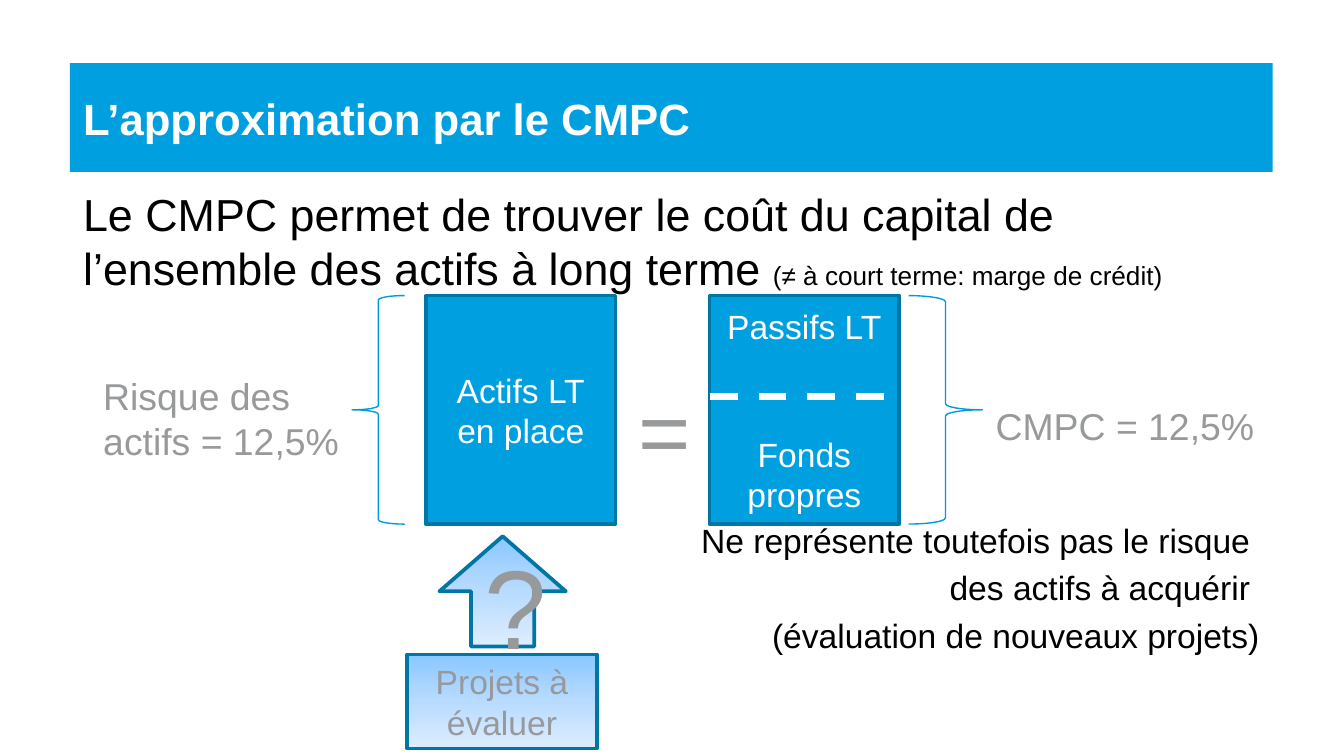
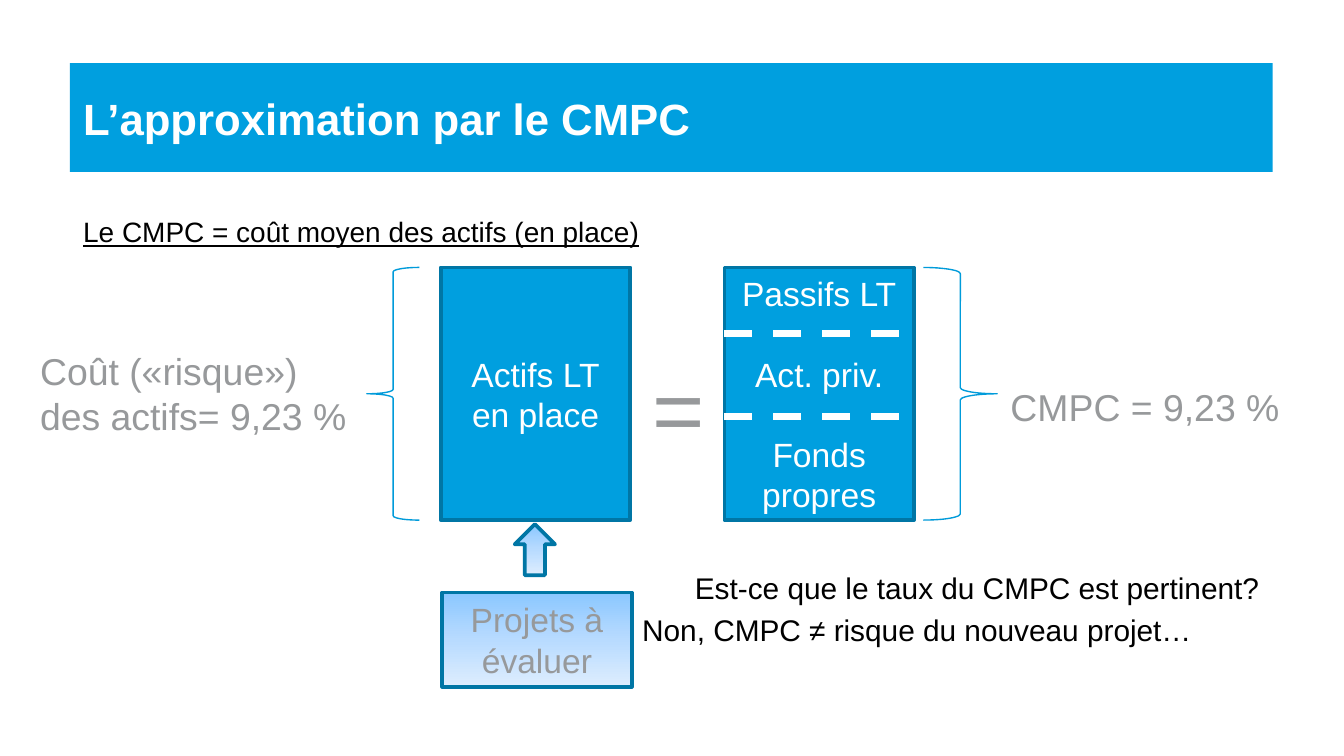
from copy import deepcopy
from dataclasses import dataclass, field

from lxml.etree import SubElement
from pptx import Presentation
from pptx.dml.color import RGBColor
from pptx.enum.dml import MSO_LINE
from pptx.enum.shapes import MSO_CONNECTOR, MSO_SHAPE
from pptx.enum.text import MSO_ANCHOR, PP_ALIGN
from pptx.oxml.ns import qn
from pptx.shapes.autoshape import Shape
from pptx.slide import Slide
from pptx.util import Inches, Pt

BLUE = RGBColor(0x00, 0x9F, 0xDF)
EDGE = RGBColor(0x00, 0x76, 0xA5)
BRACE = RGBColor(0x00, 0x9B, 0xDA)
GREY = RGBColor(0x97, 0x99, 0x9B)
WHITE = RGBColor(0xFF, 0xFF, 0xFF)
BLACK = RGBColor(0x00, 0x00, 0x00)
SHADES = [
    (0, RGBColor(0x8B, 0xC7, 0xFF)),
    (0.5, RGBColor(0xB8, 0xDB, 0xFF)),
    (1, RGBColor(0xDD, 0xED, 0xFE)),
]
FONT = "Arial"
TITLE = "L’approximation par le CMPC"
LEFT, WIDE = 0.52, 8.95
BOX = 1.41


@dataclass
class Run:
    text: str
    size: float
    color: RGBColor = BLACK
    bold: bool = False
    under: bool = False


@dataclass
class Para:
    runs: list[Run]
    align: PP_ALIGN = PP_ALIGN.LEFT
    before: float = 0


@dataclass
class Place:
    left: float
    top: float
    width: float
    height: float


@dataclass
class Label:
    place: Place
    paras: list[Para]
    wrap: bool = True


@dataclass
class Page:
    left: float
    top: float
    height: float
    funds: list[str]
    gap: float
    cuts: list[float]
    equal: float
    project: Place
    arrow: Place
    mark: list[Para] = field(default_factory=list)
    labels: list[Label] = field(default_factory=list)


def plain(text: str, size: float, color: RGBColor = BLACK,
          align: PP_ALIGN = PP_ALIGN.LEFT, before: float = 0) -> Para:
    return Para([Run(text, size, color)], align, before)


def center(text: str, size: float, color: RGBColor, before: float = 0) -> Para:
    return plain(text, size, color, PP_ALIGN.CENTER, before)


def frame(place: Place) -> list[Inches]:
    return [Inches(n) for n in (place.left, place.top, place.width, place.height)]


def write(shape: Shape, paras: list[Para], anchor: MSO_ANCHOR = MSO_ANCHOR.MIDDLE,
          wrap: bool = True) -> None:
    body = shape.text_frame
    body.word_wrap = wrap
    body.vertical_anchor = anchor
    for i, para in enumerate(paras):
        line = body.paragraphs[0] if i == 0 else body.add_paragraph()
        line.alignment = para.align
        if para.before:
            line.space_before = Pt(para.before)
        for part in para.runs:
            run = line.add_run()
            run.text = part.text
            font = run.font
            font.name, font.size = FONT, Pt(part.size)
            font.bold, font.underline = part.bold, part.under
            font.color.rgb = part.color


def draw(slide: Slide, kind: MSO_SHAPE, place: Place,
         edge: RGBColor | None = EDGE, width: float = 2) -> Shape:
    shape = slide.shapes.add_shape(kind, *frame(place))
    shape.shadow.inherit = False
    if edge is None:
        shape.line.fill.background()
    else:
        shape.line.color.rgb = edge
        shape.line.width = Pt(width)
    return shape


def block(slide: Slide, place: Place, paras: list[Para],
          edge: RGBColor | None = EDGE) -> None:
    shape = draw(slide, MSO_SHAPE.RECTANGLE, place, edge)
    shape.fill.solid()
    shape.fill.fore_color.rgb = BLUE
    write(shape, paras)


def fade(slide: Slide, kind: MSO_SHAPE, place: Place, paras: list[Para]) -> None:
    shape = draw(slide, kind, place)
    fill = shape.fill
    fill.gradient()
    fill.gradient_angle = 270
    stops = next(shape.element.iter(qn("a:gsLst")))
    stops.insert(1, deepcopy(stops[0]))
    for stop, (spot, color) in zip(fill.gradient_stops, SHADES):
        stop.position = spot
        stop.color.rgb = color
    write(shape, paras)


def brace(slide: Slide, kind: MSO_SHAPE, place: Place) -> None:
    draw(slide, kind, place, BRACE, 0.75).fill.background()


def dash(slide: Slide, left: float, top: float) -> None:
    line = slide.shapes.add_connector(
        MSO_CONNECTOR.STRAIGHT, Inches(left), Inches(top), Inches(left + BOX), Inches(top))
    line.line.color.rgb = WHITE
    line.line.width = Pt(3.75)
    line.line.dash_style = MSO_LINE.DASH
    SubElement(line.element.spPr, qn("a:effectLst"))


def label(slide: Slide, item: Label) -> None:
    box = slide.shapes.add_textbox(*frame(item.place))
    write(box, item.paras, MSO_ANCHOR.TOP, item.wrap)


def build(slide: Slide, page: Page) -> None:
    x, y, tall = page.left, page.top, page.height
    right = x + 2.11
    block(slide, Place(LEFT, 0.47, WIDE, 0.81),
          [Para([Run(TITLE, 23.4, WHITE, bold=True)])], None)
    funds = [center(text, 18, WHITE, page.gap if i else 0)
             for i, text in enumerate(page.funds)]
    block(slide, Place(right, y, BOX, tall), funds)
    for cut in page.cuts:
        dash(slide, right, cut)
    brace(slide, MSO_SHAPE.RIGHT_BRACE, Place(x + 3.59, y, 0.55, tall))
    block(slide, Place(x, y, BOX, tall),
          [center(text, 18, WHITE) for text in ("Actifs LT", "en place")])
    label(slide, Label(Place(x + 1.48, page.equal, 0.55, 0.83), [plain("=", 48, GREY)]))
    brace(slide, MSO_SHAPE.LEFT_BRACE, Place(x - 0.55, y, 0.39, tall))
    fade(slide, MSO_SHAPE.RECTANGLE, page.project, [center("Projets à évaluer", 18, GREY)])
    fade(slide, MSO_SHAPE.UP_ARROW, page.arrow, page.mark)
    for item in page.labels:
        label(slide, item)


PAGES = [
    Page(
        left=3.17, top=2.2, height=1.7,
        funds=["Passifs LT", "Fonds propres"], gap=47, cuts=[2.95], equal=2.74,
        project=Place(3.03, 4.87, BOX, 0.7),
        arrow=Place(3.27, 3.99, 0.94, 0.82),
        mark=[center("?", 60, GREY)],
        labels=[
            Label(Place(LEFT, 1.34, WIDE, 0.9), [Para([
                Run("Le CMPC permet de trouver le coût du capital de "
                    "l’ensemble des actifs à long terme ", 24),
                Run("(≠ à court terme: marge de crédit)", 14)])]),
            Label(Place(4.47, 3.82, 5, 1.1), [
                plain(text, 18, BLACK, PP_ALIGN.RIGHT, 3.8 if i else 0)
                for i, text in enumerate((
                    "Ne représente toutefois pas le risque ",
                    "des actifs à acquérir ",
                    "(évaluation de nouveaux projets)"))]),
            Label(Place(7.31, 2.95, 2.14, 0.4), [plain("CMPC = 12,5%", 20, GREY)], False),
            Label(Place(0.67, 2.73, 1.97, 0.7), [
                plain(text, 20, GREY) for text in ("Risque des", "actifs = 12,5%")], False),
        ],
    ),
    Page(
        left=3.28, top=1.99, height=1.88,
        funds=["Passifs LT", "Act. priv.", "Fonds propres"], gap=21.5,
        cuts=[2.48, 3.1], equal=2.58,
        project=Place(3.29, 4.41, BOX, 0.7),
        arrow=Place(3.83, 3.9, 0.3, 0.38),
        labels=[
            Label(Place(LEFT, 1.55, WIDE, 0.4), [Para([
                Run("Le CMPC = coût moyen des actifs (en place)", 15, under=True)])]),
            Label(Place(4.68, 4.19, 4.79, 0.75), [
                plain("Est-ce que le taux du CMPC est pertinent?", 16, BLACK, PP_ALIGN.RIGHT),
                plain("Non, CMPC ≠ risque du nouveau projet…", 16, before=3.4)]),
            Label(Place(7.42, 2.81, 2.22, 0.44), [plain("CMPC = 9,23 %", 20, GREY)], False),
            Label(Place(0.2, 2.54, 2.54, 0.77), [
                plain("Coût («risque») des actifs= 9,23 %", 20, GREY)]),
        ],
    ),
]


def main() -> None:
    deck = Presentation()
    deck.slide_width = Inches(10)
    deck.slide_height = deck.slide_width * 9 // 16
    for page in PAGES:
        build(deck.slides.add_slide(deck.slide_layouts[6]), page)
    deck.save("out.pptx")


if __name__ == "__main__":
    main()
